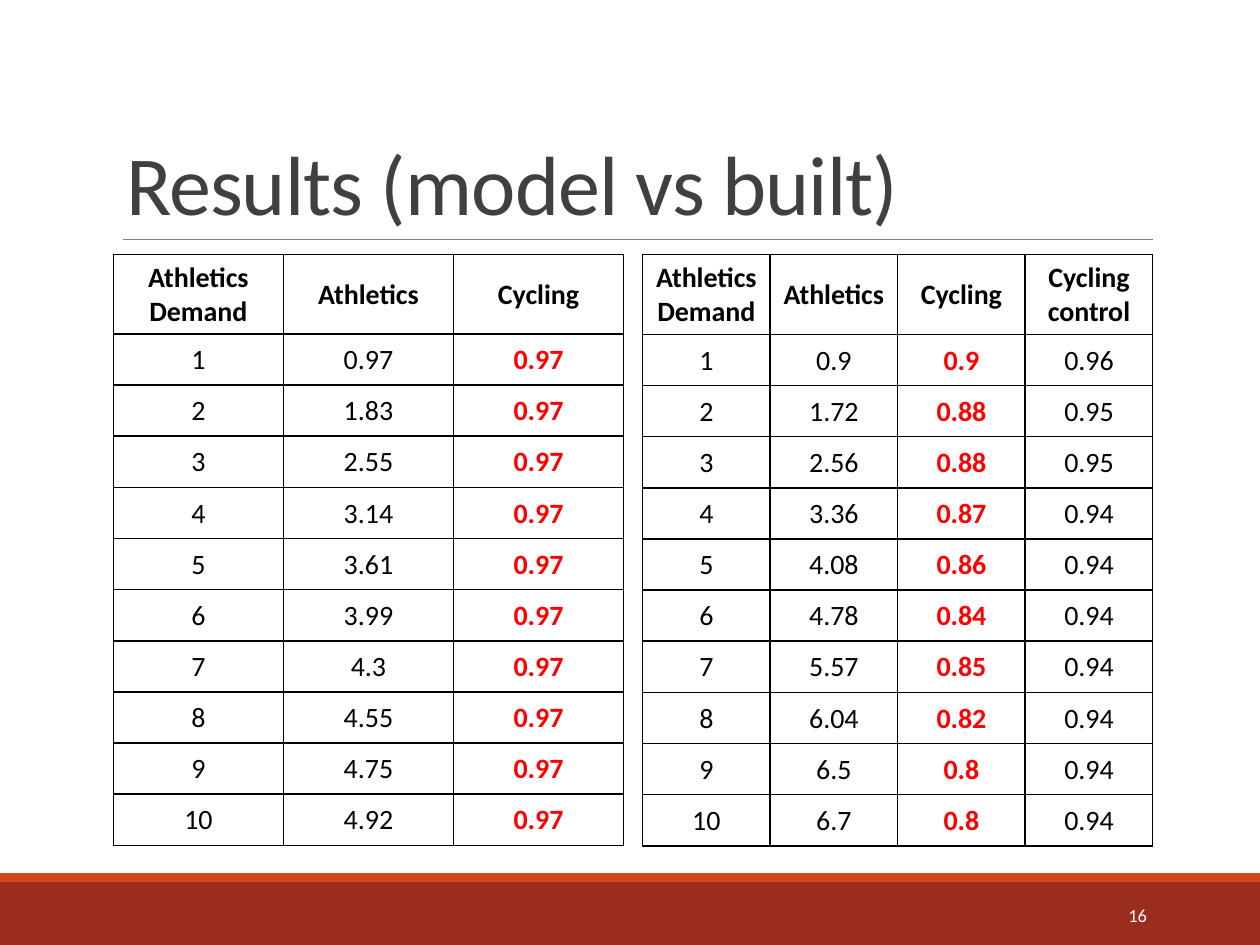
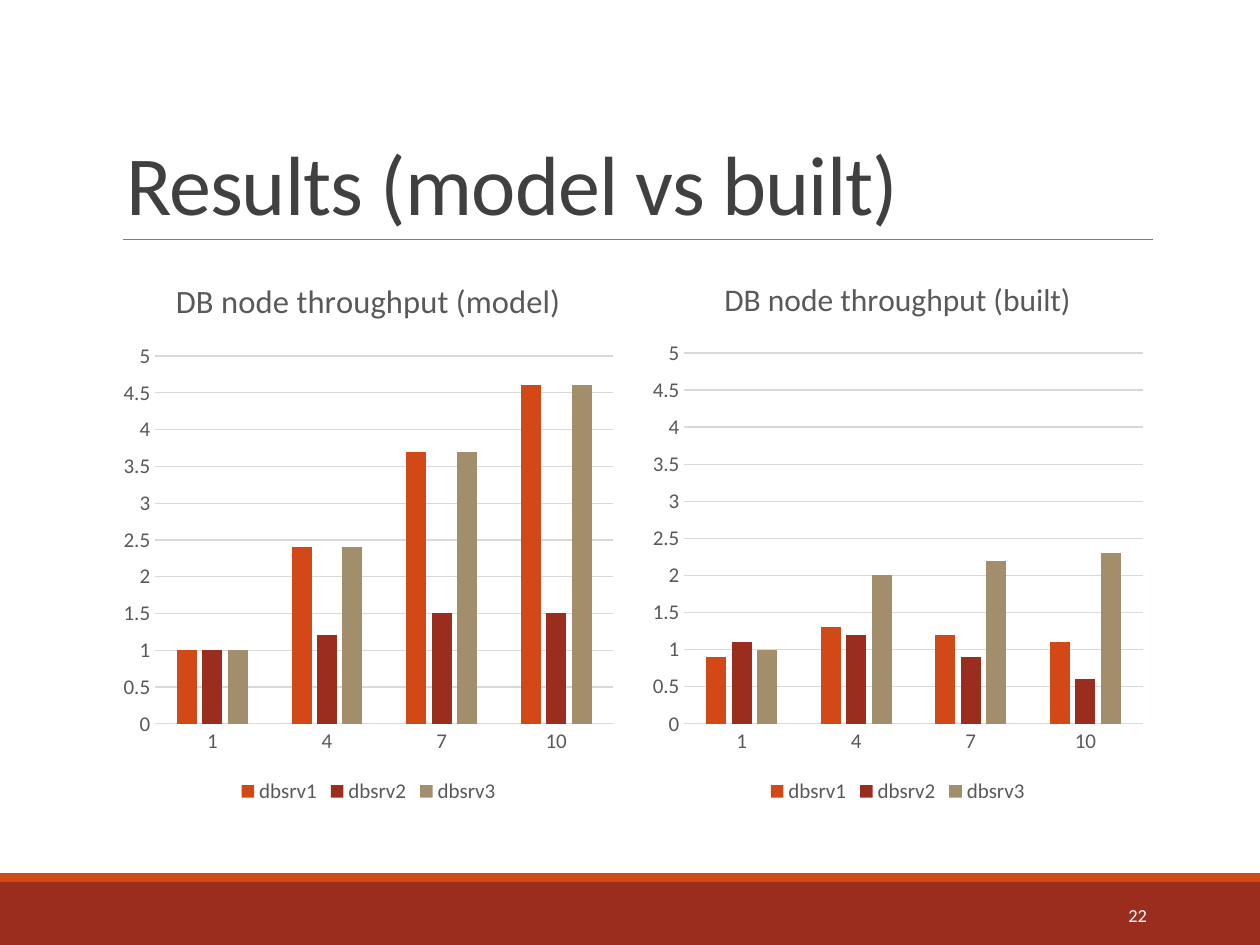
from lxml.etree import SubElement
from pptx import Presentation
from pptx.chart.data import CategoryChartData
from pptx.dml.color import RGBColor
from pptx.enum.chart import XL_CHART_TYPE, XL_LEGEND_POSITION, XL_TICK_MARK
from pptx.enum.shapes import MSO_CONNECTOR, MSO_SHAPE
from pptx.enum.text import MSO_ANCHOR, MSO_AUTO_SIZE, PP_ALIGN
from pptx.oxml.ns import qn
from pptx.util import Inches, Pt

# Shared look
FONT = "Calibri"
ORANGE, BRICK, TAN = "D34817", "9B2D1F", "A28E6A"
BLACK, WHITE, RED = "000000", "FFFFFF", "FF0000"
TITLE_GRAY, RULE_GRAY, LABEL_GRAY, GRID_GRAY = "404040", "808080", "595959", "D9D9D9"

# Shared two-column layout
LEFT_COLUMN, RIGHT_COLUMN = 0.9, 5.1
COLUMN_TOP, COLUMN_WIDTH = 2.02, 4.05

# Content
TITLE = "Results (model vs built)"
DEMAND = range(1, 11)
MODEL_HEADER = ["Athletics Demand", "Athletics", "Cycling"]
MODEL_ATHLETICS = [0.97, 1.83, 2.55, 3.14, 3.61, 3.99, 4.3, 4.55, 4.75, 4.92]
MODEL_CYCLING = [0.97] * 10
BUILT_HEADER = MODEL_HEADER + ["Cycling control"]
BUILT_ATHLETICS = [0.9, 1.72, 2.56, 3.36, 4.08, 4.78, 5.57, 6.04, 6.5, 6.7]
BUILT_CYCLING = [0.9, 0.88, 0.88, 0.87, 0.86, 0.84, 0.85, 0.82, 0.8, 0.8]
BUILT_CONTROL = [0.96, 0.95, 0.95] + [0.94] * 7

CHART_DEMAND = ["1", "4", "7", "10"]
NODE_COLORS = {"dbsrv1": ORANGE, "dbsrv2": BRICK, "dbsrv3": TAN}
MODEL_THROUGHPUT = [(1, 2.4, 3.7, 4.6), (1, 1.2, 1.5, 1.5), (1, 2.4, 3.7, 4.6)]
BUILT_THROUGHPUT = [(0.9, 1.3, 1.2, 1.1), (1.1, 1.2, 0.9, 0.6), (1, 2, 2.2, 2.3)]


def rgb(hex_color):
    return RGBColor.from_string(hex_color)


def style_font(font, size, color, bold=False):
    font.name = FONT
    font.size = Pt(size)
    font.bold = bold
    font.color.rgb = rgb(color)


def write(frame, text, size, color, bold=False, align=PP_ALIGN.LEFT,
          line_spacing=None, tracking=None):
    """Fill a text frame with one formatted paragraph."""
    paragraph = frame.paragraphs[0]
    paragraph.alignment = align
    if line_spacing:
        paragraph.line_spacing = line_spacing
    run = paragraph.add_run()
    run.text = text
    style_font(run.font, size, color, bold)
    if tracking:
        run.font._element.set("spc", str(round(tracking * 100)))


def add_band(slide, top, height, color):
    band = slide.shapes.add_shape(
        MSO_SHAPE.RECTANGLE, 0, Inches(top), Inches(10), Inches(height))
    band.shadow.inherit = False
    band.fill.solid()
    band.fill.fore_color.rgb = rgb(color)
    band.line.fill.background()


def add_title_rule(slide):
    rule = slide.shapes.add_connector(
        MSO_CONNECTOR.STRAIGHT, Inches(0.98), Inches(1.9), Inches(9.15), Inches(1.9))
    rule.line.color.rgb = rgb(RULE_GRAY)
    rule.line.width = Pt(0.5)
    SubElement(rule._element.spPr, qn("a:effectLst"))


def add_page_number(slide, number):
    box = slide.shapes.add_textbox(Inches(8.12), Inches(7.06), Inches(1.08), Inches(0.4))
    box.text_frame.word_wrap = True
    box.text_frame.vertical_anchor = MSO_ANCHOR.MIDDLE
    write(box.text_frame, str(number), 10.5, WHITE, align=PP_ALIGN.RIGHT)


def add_results_slide(deck, number):
    """Add a slide with the title, rule, bands and page number."""
    slide = deck.slides.add_slide(deck.slide_layouts[5])
    add_band(slide, 7, 0.5, BRICK)
    add_band(slide, 6.93, 0.07, ORANGE)
    add_title_rule(slide)
    title = slide.shapes.title
    title.left, title.top = Inches(0.9), Inches(0.31)
    title.width, title.height = Inches(8.25), Inches(1.59)
    title.text_frame.auto_size = MSO_AUTO_SIZE.NONE
    title.text_frame.vertical_anchor = MSO_ANCHOR.BOTTOM
    write(title.text_frame, TITLE, 48, TITLE_GRAY, line_spacing=0.85, tracking=-0.5)
    add_page_number(slide, number)
    return slide


def border_cell(cell):
    properties = cell._tc.get_or_add_tcPr()
    for position, side in enumerate(("lnL", "lnR", "lnT", "lnB")):
        border = properties.makeelement(qn(f"a:{side}"), {"w": str(Pt(1))})
        fill = SubElement(border, qn("a:solidFill"))
        SubElement(fill, qn("a:srgbClr"), val=BLACK)
        properties.insert(position, border)


def add_demand_table(slide, left, header, *columns):
    """Add a demand table; its Cycling column is highlighted."""
    rows = [header, *zip(DEMAND, *columns)]
    header_height, row_height = 0.63, 0.406
    table = slide.shapes.add_table(
        len(rows), len(header), Inches(left), Inches(COLUMN_TOP),
        Inches(COLUMN_WIDTH), Inches(4.69)).table
    table.first_row = table.horz_banding = False
    for column in table.columns:
        column.width = Inches(COLUMN_WIDTH / len(header))
    for row_index, values in enumerate(rows):
        is_header = row_index == 0
        table.rows[row_index].height = Inches(header_height if is_header else row_height)
        for column_index, value in enumerate(values):
            cell = table.cell(row_index, column_index)
            cell.fill.background()
            cell.vertical_anchor = MSO_ANCHOR.MIDDLE
            if value != "Cycling control":
                cell.margin_left = cell.margin_right = cell.margin_top = Inches(0.01)
                cell.margin_bottom = 0
            highlighted = not is_header and header[column_index] == "Cycling"
            write(cell.text_frame, str(value), 16, RED if highlighted else BLACK,
                  bold=is_header or highlighted, align=PP_ALIGN.CENTER)
            border_cell(cell)


def add_throughput_chart(slide, left, title, throughput, title_size):
    data = CategoryChartData()
    data.categories = CHART_DEMAND
    for node, values in zip(NODE_COLORS, throughput):
        data.add_series(node, values)
    chart = slide.shapes.add_chart(
        XL_CHART_TYPE.COLUMN_CLUSTERED, Inches(left), Inches(COLUMN_TOP),
        Inches(COLUMN_WIDTH), Inches(4.4), data).chart
    style_font(chart.font, 10, BLACK)
    write(chart.chart_title.text_frame, title, title_size, LABEL_GRAY,
          align=PP_ALIGN.CENTER)
    chart.chart_title.include_in_layout = False

    # Columns
    plot = chart.plots[0]
    plot.gap_width, plot.overlap = 219, -27
    plot.vary_by_categories = False
    for series, color in zip(plot.series, NODE_COLORS.values()):
        series.format.fill.solid()
        series.format.fill.fore_color.rgb = rgb(color)

    # Axes
    demand_axis, throughput_axis = chart.category_axis, chart.value_axis
    for axis in (demand_axis, throughput_axis):
        axis.major_tick_mark = axis.minor_tick_mark = XL_TICK_MARK.NONE
        style_font(axis.tick_labels.font, 12, LABEL_GRAY)
    throughput_axis.minimum_scale, throughput_axis.maximum_scale = 0, 5
    throughput_axis.major_unit = 0.5
    throughput_axis.format.line.fill.background()
    for line in (demand_axis.format.line, throughput_axis.major_gridlines.format.line):
        line.color.rgb = rgb(GRID_GRAY)
        line.width = Pt(0.75)

    # Legend
    chart.has_legend = True
    chart.legend.position = XL_LEGEND_POSITION.BOTTOM
    chart.legend.include_in_layout = False
    style_font(chart.legend.font, 12, LABEL_GRAY)


def main():
    deck = Presentation()
    deck.slide_width, deck.slide_height = Inches(10), Inches(7.5)

    # Demand tables
    demand = add_results_slide(deck, 16)
    add_demand_table(demand, LEFT_COLUMN, MODEL_HEADER, MODEL_ATHLETICS, MODEL_CYCLING)
    add_demand_table(demand, RIGHT_COLUMN, BUILT_HEADER,
                     BUILT_ATHLETICS, BUILT_CYCLING, BUILT_CONTROL)

    # Throughput charts
    throughput = add_results_slide(deck, 22)
    add_throughput_chart(throughput, LEFT_COLUMN, "DB node throughput (model)",
                         MODEL_THROUGHPUT, title_size=18.6)
    add_throughput_chart(throughput, RIGHT_COLUMN, "DB node throughput (built)",
                         BUILT_THROUGHPUT, title_size=18)

    deck.save("out.pptx")


if __name__ == "__main__":
    main()
